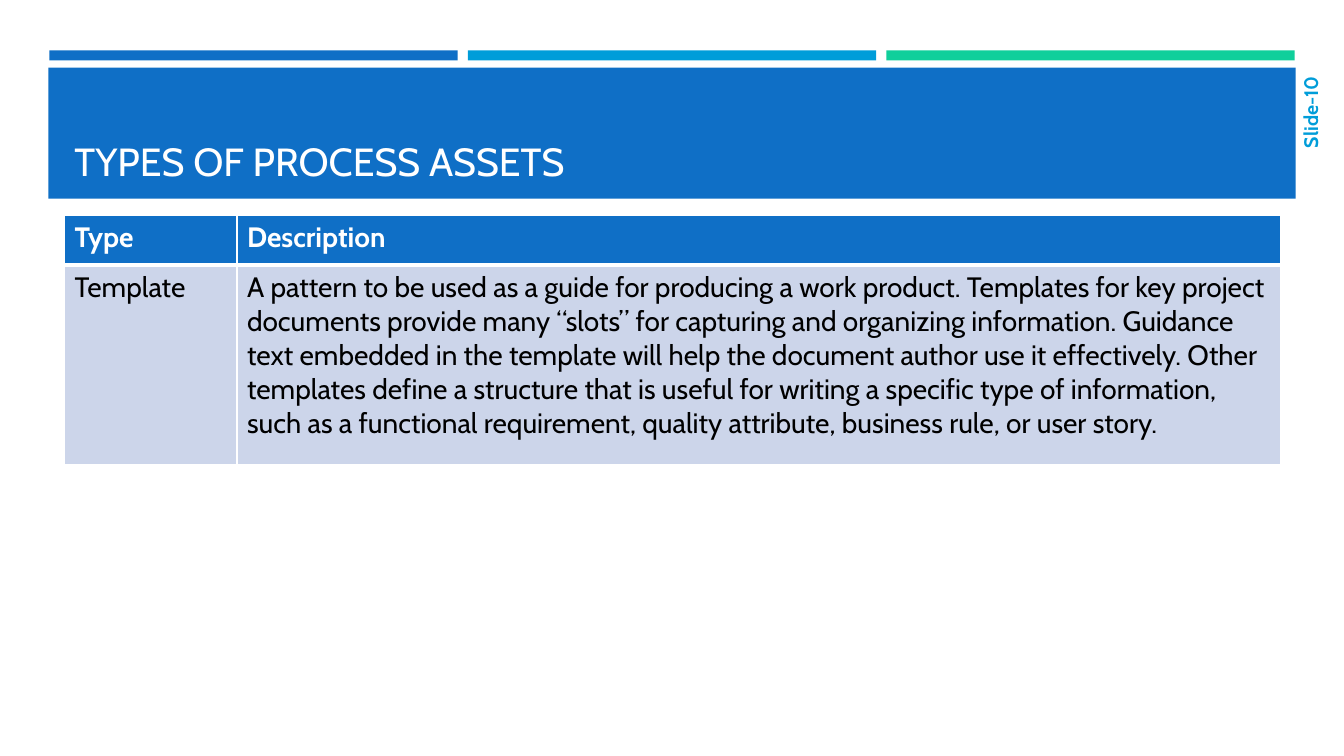
import dataclasses

import pptx
import pptx.dml.color
import pptx.enum.shapes
import pptx.enum.text
import pptx.oxml
import pptx.oxml.ns
import pptx.util


@dataclasses.dataclass(frozen=True)
class Theme:
    font: str = "Cabin"
    blue: str = "0F6FC6"
    sky: str = "009DD9"
    green: str = "10CF9B"
    pale: str = "CCD5EA"
    white: str = "FFFFFF"
    black: str = "000000"
    title_size: int = 28
    table_size: int = 20
    number_size: int = 14


THEME = Theme()
ANCHOR = pptx.enum.text.MSO_ANCHOR
ALIGN = pptx.enum.text.PP_ALIGN
ROWS = [
    ("Type", "Description"),
    (
        "Template",
        "A pattern to be used as a guide for producing a work product. Templates for key project "
        "documents provide many “slots” for capturing and organizing information. Guidance text "
        "embedded in the template will help the document author use it effectively. Other templates "
        "define a structure that is useful for writing a specific type of information, \v"
        "such as a functional requirement, quality attribute, business rule, or user story.",
    ),
]


def inches(box):
    return [pptx.util.Inches(length) for length in box]


def color(code):
    return pptx.dml.color.RGBColor.from_string(code)


def write(frame, text, size, ink, bold=False, align=ALIGN.LEFT, anchor=ANCHOR.TOP):
    frame.word_wrap = True
    frame.vertical_anchor = anchor
    frame.text = text
    paragraph = frame.paragraphs[0]
    paragraph.alignment = align
    for run in paragraph.runs:
        run.font.name = THEME.font
        run.font.size = pptx.util.Pt(size)
        run.font.bold = bold
        run.font.color.rgb = color(ink)


def add_bar(slide, box, fill):
    shape = slide.shapes.add_shape(pptx.enum.shapes.MSO_SHAPE.RECTANGLE, *inches(box))
    shape.shadow.inherit = False
    shape.fill.solid()
    shape.fill.fore_color.rgb = color(fill)
    shape.line.fill.background()


def add_stripes(slide, box, fills, gap):
    left, top, width, height = box
    stripe = (width - gap * (len(fills) - 1)) / len(fills)
    for index, fill in enumerate(fills):
        add_bar(slide, (left + index * (stripe + gap), top, stripe, height), fill)


def add_title(slide, box, text):
    left, top, width, height = box
    add_bar(slide, box, THEME.blue)
    inner = (left + 0.16, top + 0.1, width - 0.31, height - 0.19)
    title = slide.shapes.add_textbox(*inches(inner))
    write(title.text_frame, text, THEME.title_size, THEME.white, anchor=ANCHOR.BOTTOM)


def add_slide_number(slide, box, text):
    number = slide.shapes.add_textbox(*inches(box))
    write(number.text_frame, text, THEME.number_size, THEME.sky, bold=True,
          align=ALIGN.RIGHT, anchor=ANCHOR.MIDDLE)
    number.text_frame._txBody.bodyPr.set("vert", "vert270")


def set_borders(cell, widths):
    properties = cell._tc.get_or_add_tcPr()
    for index, (side, width) in enumerate(widths.items()):
        line = pptx.oxml.parse_xml(
            f'<a:{side} {pptx.oxml.ns.nsdecls("a")} w="{pptx.util.Pt(width)}">'
            f'<a:solidFill><a:srgbClr val="{THEME.white}"/></a:solidFill></a:{side}>'
        )
        properties.insert(index, line)


def add_asset_table(slide, box, rows, column_widths, row_heights):
    table = slide.shapes.add_table(len(rows), len(column_widths), *inches(box)).table
    for column, width in zip(table.columns, inches(column_widths)):
        column.width = width
    for row, height in zip(table.rows, inches(row_heights)):
        row.height = height
    for row_index, texts in enumerate(rows):
        header = row_index == 0
        for column_index, text in enumerate(texts):
            cell = table.cell(row_index, column_index)
            cell.fill.solid()
            cell.fill.fore_color.rgb = color(THEME.blue if header else THEME.pale)
            write(cell.text_frame, text, THEME.table_size,
                  THEME.white if header else THEME.black, bold=header)
            set_borders(cell, {"lnL": 1, "lnR": 1, "lnT": 1 if header else 3,
                               "lnB": 3 if header else 1})


def build_slide(presentation):
    slide = presentation.slides.add_slide(presentation.slide_layouts[6])
    add_stripes(slide, (0.49, 0.5, 12.35, 0.1), (THEME.blue, THEME.sky, THEME.green), 0.1)
    add_title(slide, (0.48, 0.67, 12.37, 1.3), "TYPES OF PROCESS ASSETS")
    add_asset_table(slide, (0.64, 2.14, 12.06, 2.47), ROWS, (1.71, 10.35), (0.49, 1.98))
    add_slide_number(slide, (12.87, 0.66, 0.25, 0.91), "Slide-10")


def main():
    presentation = pptx.Presentation()
    presentation.slide_width, presentation.slide_height = inches((13.33, 7.5))
    build_slide(presentation)
    presentation.save("out.pptx")


if __name__ == "__main__":
    main()
